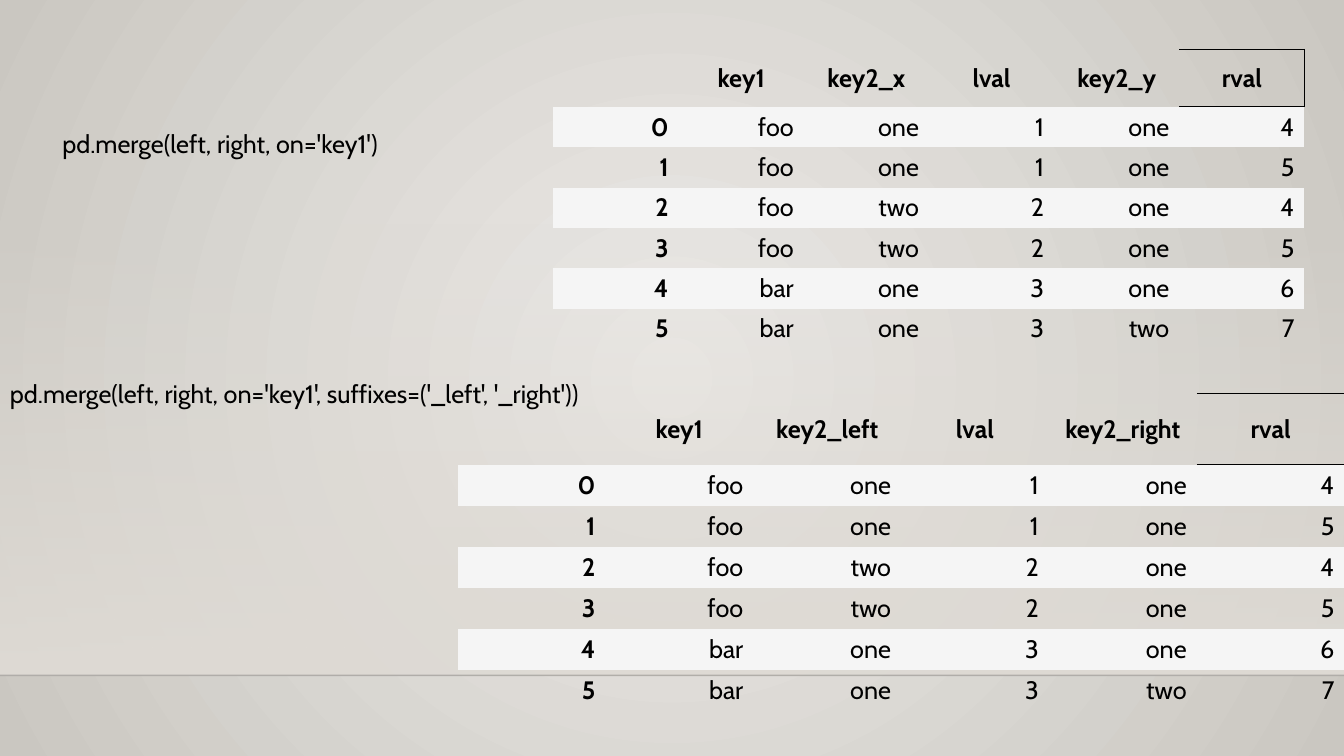
from dataclasses import dataclass

from lxml import etree
from pptx import Presentation
from pptx import util as u
from pptx.dml.color import RGBColor
from pptx.enum import shapes, text
from pptx.oxml import parse_xml
from pptx.oxml.ns import nsdecls, qn

W, H = u.Inches(13.333), u.Inches(7.5)
FONT, BLACK, STRIPE = "Cabin", "000000", "F5F5F5"
NO_STYLE = "{2D5ABB26-0587-4C30-8999-92F81FD0307C}"
LEFT, CENTER, RIGHT = (text.PP_ALIGN.LEFT, text.PP_ALIGN.CENTER,
                       text.PP_ALIGN.RIGHT)

MERGED_ROWS = [
    ("0", "foo", "one", "1", "one", "4"),
    ("1", "foo", "one", "1", "one", "5"),
    ("2", "foo", "two", "2", "one", "4"),
    ("3", "foo", "two", "2", "one", "5"),
    ("4", "bar", "one", "3", "one", "6"),
    ("5", "bar", "one", "3", "two", "7"),
]


@dataclass
class Merge:
    """A merge call and its result; lengths are percent of the slide."""
    code: str
    code_box: tuple[float, float, float]
    suffixes: tuple[str, str]
    left: float
    top: float
    width: float
    header_height: float
    row_height: float


MERGES = [
    Merge("pd.merge(left, right, on='key1')", (3.9, 16.27, 25.35),
          ("_x", "_y"), 41.18, 6.53, 55.88, 7.6, 5.32),
    Merge("pd.merge(left, right, on='key1', suffixes=('_left', '_right'))",
          (0, 49.33, 44.78), ("_left", "_right"), 34.05, 52, 66, 9.5, 5.42),
]


def x(percent: float) -> int:
    return round(W * percent / 100)


def y(percent: float) -> int:
    return round(H * percent / 100)


def color(value: str) -> RGBColor:
    return RGBColor.from_string(value)


def write(tf, words: str, *, align=LEFT, bold: bool = False) -> None:
    p = tf.paragraphs[0]
    p.alignment = align
    r = p.add_run()
    r.text = words
    r.font.name, r.font.size, r.font.bold = FONT, u.Pt(18), bold
    r.font.color.rgb = color(BLACK)


def set_gradient(grad, stops: list[tuple[str, int]], direction: str) -> None:
    """Replace the stops (colour, opacity in percent) and the direction."""
    for child in list(grad):
        grad.remove(child)
    gs_list = etree.SubElement(grad, qn("a:gsLst"))
    for i, (value, opacity) in enumerate(stops):
        gs = etree.SubElement(gs_list, qn("a:gs"), pos=str(i * 100000))
        clr = etree.SubElement(gs, qn("a:srgbClr"), val=value)
        etree.SubElement(clr, qn("a:alpha"), val=str(opacity * 1000))
    grad.append(parse_xml(direction))


def add_backdrop(s) -> None:
    # Radial background
    s.background.fill.gradient()
    set_gradient(
        s.element.find(".//" + qn("p:bgPr")).find(qn("a:gradFill")),
        [("ECEAE7", 100), ("CAC7C1", 100)],
        f'<a:path {nsdecls("a")} path="circle"><a:fillToRect l="50000" '
        't="50000" r="50000" b="50000"/></a:path>')

    # Fading wall
    wall = s.shapes.add_shape(shapes.MSO_SHAPE.RECTANGLE,
                              0, y(29.47), W, y(59.86))
    wall.shadow.inherit = False
    wall.line.fill.background()
    wall.fill.gradient()
    set_gradient(wall.element.spPr.find(qn("a:gradFill")),
                 [("DFDBD5", 0), ("DFDBD5", 100)],
                 f'<a:lin {nsdecls("a")} ang="5400000" scaled="0"/>')

    # Floor line
    floor = s.shapes.add_connector(shapes.MSO_CONNECTOR.STRAIGHT,
                                   0, y(89.33), W, y(89.33))
    floor.line.width = u.Pt(1)
    floor.line.color.rgb = color("000001")
    clr = floor.element.spPr.find(".//" + qn("a:srgbClr"))
    etree.SubElement(clr, qn("a:alpha"), val="20000")
    etree.SubElement(floor.element.spPr, qn("a:effectLst"))


def add_borders(cell, sides: str) -> None:
    tc_pr = cell._tc.get_or_add_tcPr()
    for i, side in enumerate(sides):
        tc_pr.insert(i, parse_xml(
            f'<a:ln{side} {nsdecls("a")} w="9525"><a:solidFill>'
            f'<a:srgbClr val="{BLACK}"/></a:solidFill></a:ln{side}>'))


def add_code(s, merge: Merge) -> None:
    left, top, width = merge.code_box
    tf = s.shapes.add_textbox(x(left), y(top), x(width), y(5.33)).text_frame
    tf.word_wrap = False
    tf.auto_size = text.MSO_AUTO_SIZE.SHAPE_TO_FIT_TEXT
    write(tf, merge.code)


def add_result(s, merge: Merge) -> None:
    first, second = merge.suffixes
    header = ("", "key1", f"key2{first}", "lval", f"key2{second}", "rval")
    rows = [header, *MERGED_ROWS]
    height = merge.header_height + merge.row_height * len(MERGED_ROWS)
    frame = s.shapes.add_table(len(rows), len(header), x(merge.left),
                               y(merge.top), x(merge.width), y(height))
    table = frame.table
    table.first_row = table.horz_banding = False
    frame._element.find(".//" + qn("a:tableStyleId")).text = NO_STYLE
    for i, row in enumerate(rows):
        table.rows[i].height = y(merge.row_height if i else
                                 merge.header_height)
        for j, words in enumerate(row):
            cell = table.cell(i, j)
            cell.vertical_anchor = text.MSO_ANCHOR.MIDDLE
            if i % 2:
                cell.fill.solid()
                cell.fill.fore_color.rgb = color(STRIPE)
            else:
                cell.fill.background()
            if words:
                write(cell.text_frame, words, align=RIGHT if i else CENTER,
                      bold=i == 0 or j == 0)
    add_borders(table.cell(0, len(header) - 1), "RTB")


def main() -> None:
    prs = Presentation()
    prs.slide_width, prs.slide_height = W, H
    s = prs.slides.add_slide(prs.slide_layouts[6])
    add_backdrop(s)
    for merge in MERGES:
        add_code(s, merge)
        add_result(s, merge)
    prs.save("out.pptx")


if __name__ == "__main__":
    main()
